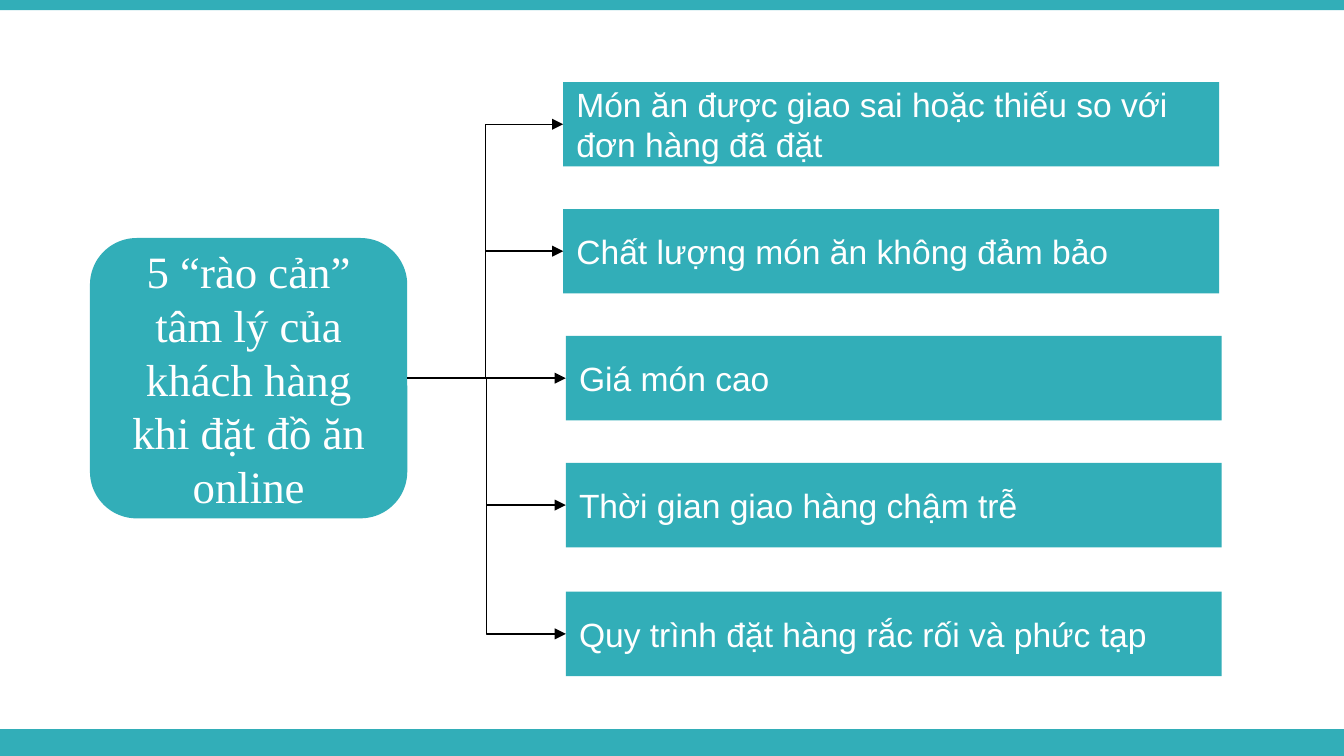
import pptx
import pptx.util
import pptx.dml.color
import pptx.enum.shapes
import pptx.enum.text
import pptx.oxml
import pptx.oxml.ns

Pt = pptx.util.Pt
MSO = pptx.enum.shapes.MSO_SHAPE
CONN = pptx.enum.shapes.MSO_CONNECTOR
ALIGN = pptx.enum.text.PP_ALIGN
TEAL = pptx.dml.color.RGBColor(0x32, 0xAE, 0xB8)
WHITE = pptx.dml.color.RGBColor(0xFF, 0xFF, 0xFF)
BLACK = pptx.dml.color.RGBColor(0, 0, 0)

ROOT_FONT = {"name": "Times New Roman", "size": Pt(24)}
BOX_FONT = {"name": "Arial", "size": Pt(18)}
BARRIERS = [
    ("Món ăn được giao sai hoặc thiếu so với đơn hàng đã đặt", 301.7, 44),
    ("Chất lượng món ăn không đảm bảo", 301.7, 112),
    ("Giá món cao", 303.1, 180),
    ("Thời gian giao hàng chậm trễ", 303.1, 248),
    ("Quy trình đặt hàng rắc rối và phức tạp", 303.1, 317),
]

prs = pptx.Presentation()
prs.slide_width, prs.slide_height = Pt(720), Pt(405)
s = prs.slides.add_slide(prs.slide_layouts[6])


def add_block(kind, left, top, width, height):
    sp = s.shapes.add_shape(kind, Pt(left), Pt(top), Pt(width), Pt(height))
    sp.shadow.inherit = False
    sp.fill.solid()
    sp.fill.fore_color.rgb = TEAL
    sp.line.fill.background()
    return sp


def write(sp, text, align, font):
    tf = sp.text_frame
    tf.word_wrap = True
    tf.vertical_anchor = pptx.enum.text.MSO_ANCHOR.MIDDLE
    p = tf.paragraphs[0]
    p.alignment = align
    r = p.add_run()
    r.text = text
    r.font.color.rgb = WHITE
    for key, value in font.items():
        setattr(r.font, key, value)


add_block(MSO.RECTANGLE, 0, 390.7, 720, 14.3)
add_block(MSO.RECTANGLE, 0, 0, 720, 5.5)

root = add_block(MSO.ROUNDED_RECTANGLE, 48.2, 127.5, 170, 150.2)
write(root, "5 “rào cản” tâm lý của khách hàng khi đặt đồ ăn online", ALIGN.CENTER, ROOT_FONT)

for text, left, top in BARRIERS:
    box = add_block(MSO.RECTANGLE, left, top, 351.4, 45.2)
    write(box, text, ALIGN.LEFT, BOX_FONT)
    kind = CONN.STRAIGHT if top == 180 else CONN.ELBOW
    c = s.shapes.add_connector(kind, 0, 0, 0, 0)
    c.begin_connect(root, 3)
    c.end_connect(box, 1)
    c.line.color.rgb = BLACK
    c.line.width = Pt(0.75)
    ln = c.line._get_or_add_ln()
    ln.append(pptx.oxml.parse_xml(
        f'<a:tailEnd {pptx.oxml.ns.nsdecls("a")} type="triangle"/>'))
    c._element.spPr.append(pptx.oxml.parse_xml(
        f'<a:effectLst {pptx.oxml.ns.nsdecls("a")}/>'))

prs.save("out.pptx")
